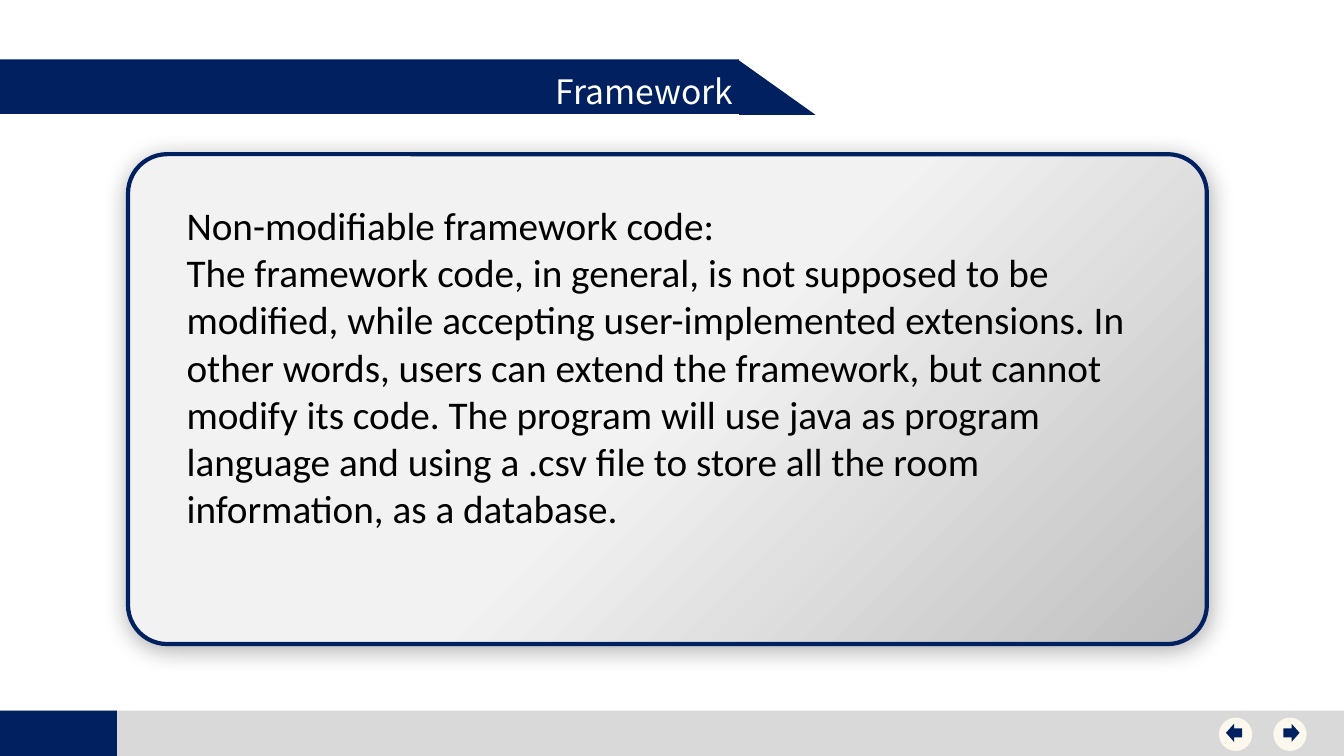
import lxml.etree
import pptx
import pptx.dml.color
import pptx.enum.shapes
import pptx.enum.text
import pptx.oxml
import pptx.oxml.ns
import pptx.util

CELL = pptx.util.Inches(0.1)  # the slide is a grid of 133.3 columns by 75 rows
COLS, ROWS = 133.3, 75
NAVY, GRAY, CREAM = "002060", "D9D9D9", "FCF8ED"
KIND = pptx.enum.shapes.MSO_SHAPE
hue = pptx.dml.color.RGBColor.from_string

deck = pptx.Presentation()
deck.slide_width, deck.slide_height = int(COLS * CELL), ROWS * CELL
slide = deck.slides.add_slide(deck.slide_layouts[1])
tree = slide.shapes


def draw(kind, col, row, wide, high, tint):
    """Add a flat shape, measured in grid cells."""
    spot = [int(n * CELL) for n in (col, row, wide, high)]
    shape = tree.add_shape(kind, *spot)
    shape.shadow.inherit = False
    shape.fill.solid()
    shape.fill.fore_color.rgb = hue(tint)
    shape.line.fill.background()
    return shape


def write(text, hold, box, size, font, tint):
    """Fill a placeholder with plain left-aligned text and bring it to the front."""
    hold.left, hold.top, hold.width, hold.height = [int(n * CELL) for n in box]
    frame = hold.text_frame
    frame.text = text
    frame.word_wrap = True
    frame.auto_size = pptx.enum.text.MSO_AUTO_SIZE.NONE
    frame.vertical_anchor = pptx.enum.text.MSO_ANCHOR.TOP
    for para in frame.paragraphs:
        para.alignment = pptx.enum.text.PP_ALIGN.LEFT
        para.space_before = pptx.util.Pt(0)
        props = para._p.get_or_add_pPr()
        props.set("marL", "0")
        props.set("indent", "0")
        lxml.etree.SubElement(props, pptx.oxml.ns.qn("a:buNone"))
        for run in para.runs:
            run.font.size = pptx.util.Pt(size)
            run.font.name = font
            run.font.color.rgb = hue(tint)
    tree._spTree.append(hold._element)


# Footer
foot = 70.5
draw(KIND.RECTANGLE, 0, foot, COLS, ROWS - foot, GRAY)
draw(KIND.RECTANGLE, 0, foot, 11.6, ROWS - foot, NAVY)

# Title ribbon
draw(KIND.RECTANGLE, 0, 5.9, 73.3, 5.4, NAVY)
draw(KIND.RIGHT_TRIANGLE, 73.3, 6, 7.6, 5.4, NAVY)

# Navigation buttons
for arrow, col, inset in ((KIND.RIGHT_ARROW, 126.3, 1), (KIND.LEFT_ARROW, 120.9, 0.7)):
    draw(KIND.OVAL, col, 71.2, 3.3, 3.3, CREAM)
    draw(arrow, col + inset, 71.8, 1.6, 1.8, NAVY)

# Card with gradient and soft shadow
card = draw(KIND.ROUNDED_RECTANGLE, 12.7, 15.3, 107, 48.6, GRAY)
card.adjustments[0] = 0.08
card.line.color.rgb = hue(NAVY)
card.line.width = pptx.util.Pt(3)
card.fill.gradient()
card.fill.gradient_angle = 315
for stop, (place, tint) in zip(card.fill.gradient_stops, ((0.5, "F2F2F2"), (1, "BFBFBF"))):
    stop.position = place
    stop.color.rgb = hue(tint)
glow = pptx.oxml.parse_xml(
    f'<a:outerShdw {pptx.oxml.ns.nsdecls("a")} blurRad="{pptx.util.Pt(17.8)}"'
    f' dist="{pptx.util.Pt(3)}" dir="{87 * 60000}" algn="ctr" rotWithShape="0">'
    '<a:srgbClr val="000000"><a:alpha val="33000"/></a:srgbClr></a:outerShdw>')
card._element.spPr.find(pptx.oxml.ns.qn("a:effectLst")).append(glow)

# Text
write("Framework", tree.title, (54.1, 6.5, 26.8, 5), 24, "Noto Sans CJK SC", "FFFFFF")
write(
    "Non-modifiable framework code:\n"
    "The framework code, in general, is not supposed to be modified, while accepting "
    "user-implemented extensions. In other words, users can extend the framework, but "
    "cannot modify its code. The program will use java as program language and using a "
    ".csv file to store all the room information, as a database.",
    slide.placeholders[1], (17.5, 19.5, 97.5, 34), 28, "Calibri", "000000")

deck.save("out.pptx")
